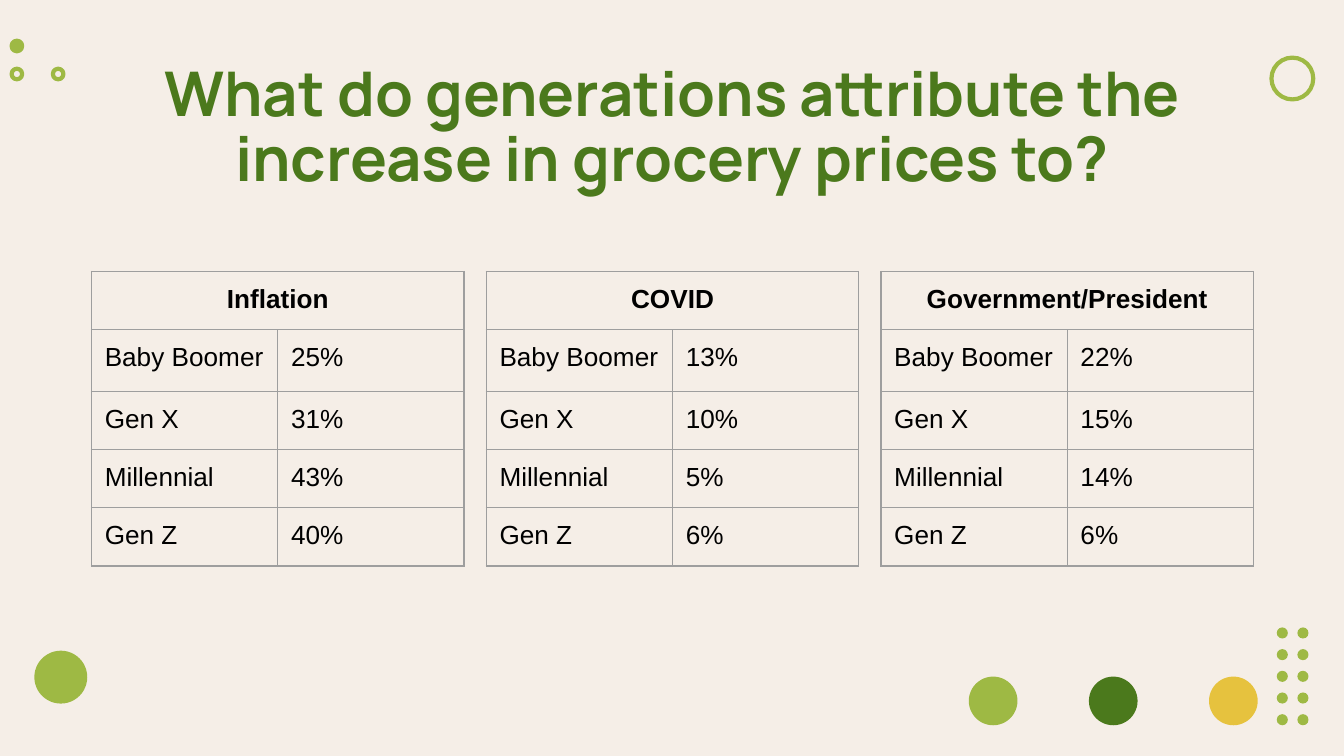
from lxml import etree
from pptx import Presentation, util as u
from pptx.dml.color import RGBColor
from pptx.enum import shapes, text
from pptx.oxml import ns

LIME, GREEN, YELLOW = "9EB944", "4B791C", "E6C23E"
BORDER = "9E9E9E"


def color(hex_code):
    return RGBColor.from_string(hex_code)


def add_circle(left, top, size, fill=None, line=None):
    """Add a circle, measured in centimetres; without a colour, fill or line is off."""
    circle = page.shapes.add_shape(
        shapes.MSO_SHAPE.OVAL, u.Cm(left), u.Cm(top), u.Cm(size), u.Cm(size))
    circle.shadow.inherit = False
    if fill:
        circle.fill.solid()
        circle.fill.fore_color.rgb = color(fill)
    else:
        circle.fill.background()
    if line:
        circle.line.color.rgb = color(line)
        circle.line.width = u.Pt(2.25)
    else:
        circle.line.fill.background()


deck = Presentation()
deck.slide_width, deck.slide_height = u.Cm(25.4), u.Cm(14.29)
page = deck.slides.add_slide(deck.slide_layouts[6])
page.background.fill.solid()
page.background.fill.fore_color.rgb = color("F5EEE7")

# Corner decorations
add_circle(24.03, 1.09, 0.79, line=LIME)
add_circle(0.65, 12.3, 1, fill=LIME)
add_circle(0.22, 0.77, 0.2, fill=LIME, line=LIME)
for left in (0.22, 1):
    add_circle(left, 1.3, 0.2, line=LIME)
for column in range(2):
    for row in range(5):
        add_circle(24.13 + 0.39 * column, 11.86 + 0.41 * row, 0.21, fill=LIME)
for index, fill in enumerate((LIME, GREEN, YELLOW)):
    add_circle(18.31 + 2.27 * index, 12.79, 0.92, fill=fill)

# Title
box = page.shapes.add_textbox(u.Cm(2), u.Cm(1.65), u.Cm(21.41), u.Cm(1.6))
frame = box.text_frame
frame.word_wrap = True
frame.vertical_anchor = text.MSO_ANCHOR.MIDDLE
frame.margin_left = frame.margin_right = u.Cm(0.25)
frame.margin_top = frame.margin_bottom = u.Cm(0.25)
para = frame.paragraphs[0]
para.alignment = text.PP_ALIGN.CENTER
para.line_spacing = 0.88
span = para.add_run()
span.text = "What do generations attribute the increase in grocery prices to?"
span.font.name = "Manrope"
span.font.size = u.Pt(33)
span.font.bold = True
span.font.color.rgb = color(GREEN)

# One table for each cause
generations = ("Baby Boomer", "Gen X", "Millennial", "Gen Z")
causes = {
    "Inflation": ("25%", "31%", "43%", "40%"),
    "COVID": ("13%", "10%", "5%", "6%"),
    "Government/President": ("22%", "15%", "14%", "6%"),
}
row_heights = (1.1, 1.17, 1.1, 1.1, 1.1)

for index, (cause, shares) in enumerate(causes.items()):
    table = page.shapes.add_table(
        5, 2, u.Cm(1.73 + 7.46 * index), u.Cm(5.13),
        u.Cm(7.04), u.Cm(sum(row_heights))).table
    table.first_row = table.horz_banding = False
    for column in table.columns:
        column.width = u.Cm(3.52)
    for row, height in zip(table.rows, row_heights):
        row.height = u.Cm(height)
    table.cell(0, 0).merge(table.cell(0, 1))

    rows = [(cause, ""), *zip(generations, shares)]
    for row_number, labels in enumerate(rows):
        for column_number, label in enumerate(labels):
            cell = table.cell(row_number, column_number)
            cell.margin_left = cell.margin_right = u.Cm(0.25)
            cell.margin_top = cell.margin_bottom = u.Cm(0.25)
            properties = cell._tc.get_or_add_tcPr()
            for side in ("a:lnL", "a:lnR", "a:lnT", "a:lnB"):
                edge = etree.SubElement(properties, ns.qn(side), w=str(u.Pt(0.75)))
                paint = etree.SubElement(edge, ns.qn("a:solidFill"))
                etree.SubElement(paint, ns.qn("a:srgbClr"), val=BORDER)
            cell.fill.background()
            if not label:
                continue
            para = cell.text_frame.paragraphs[0]
            if row_number == 0:
                para.alignment = text.PP_ALIGN.CENTER
            span = para.add_run()
            span.text = label
            span.font.name = "Arial"
            span.font.size = u.Pt(14)
            span.font.bold = row_number == 0
            span.font.color.rgb = color("000000")

deck.save("out.pptx")
